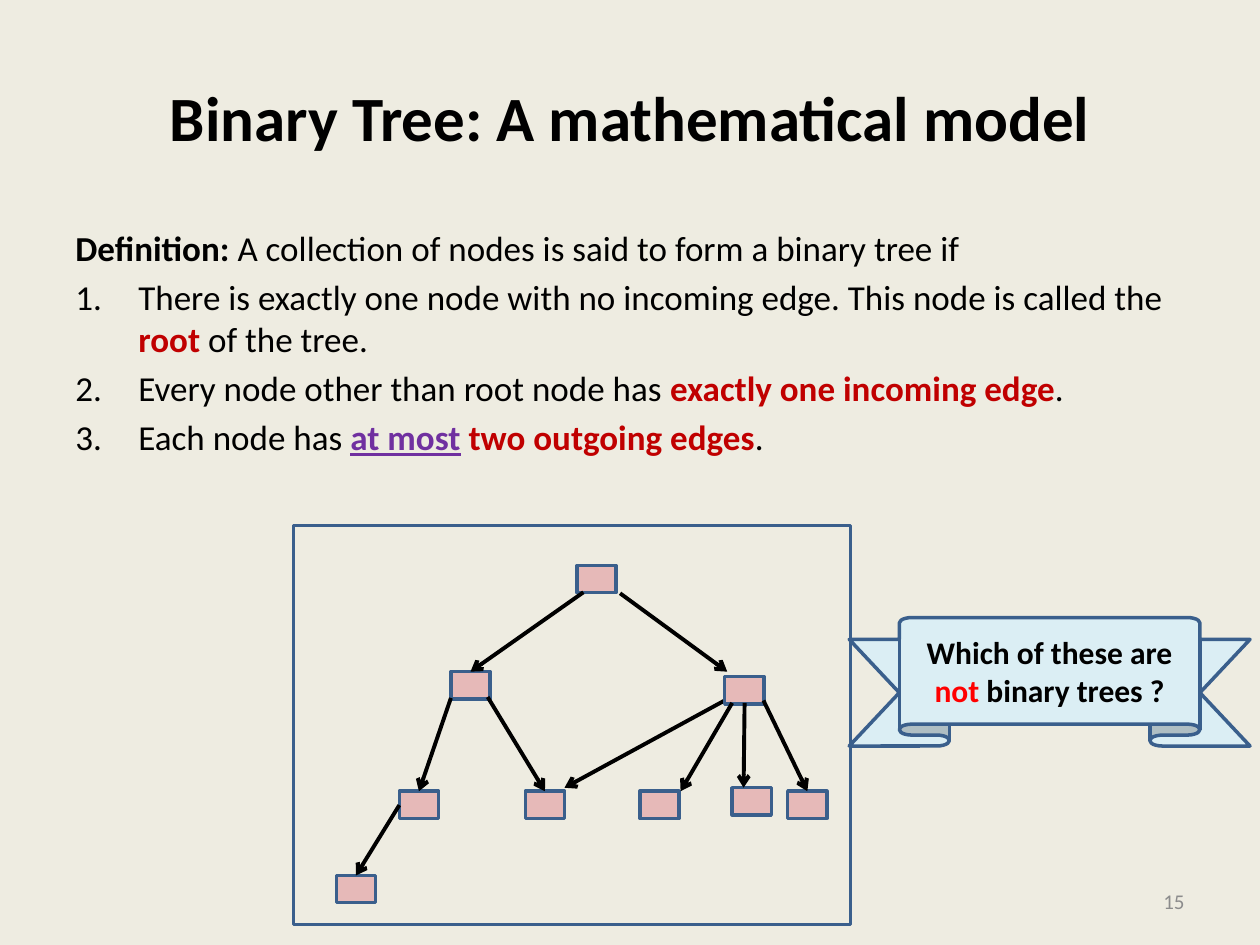
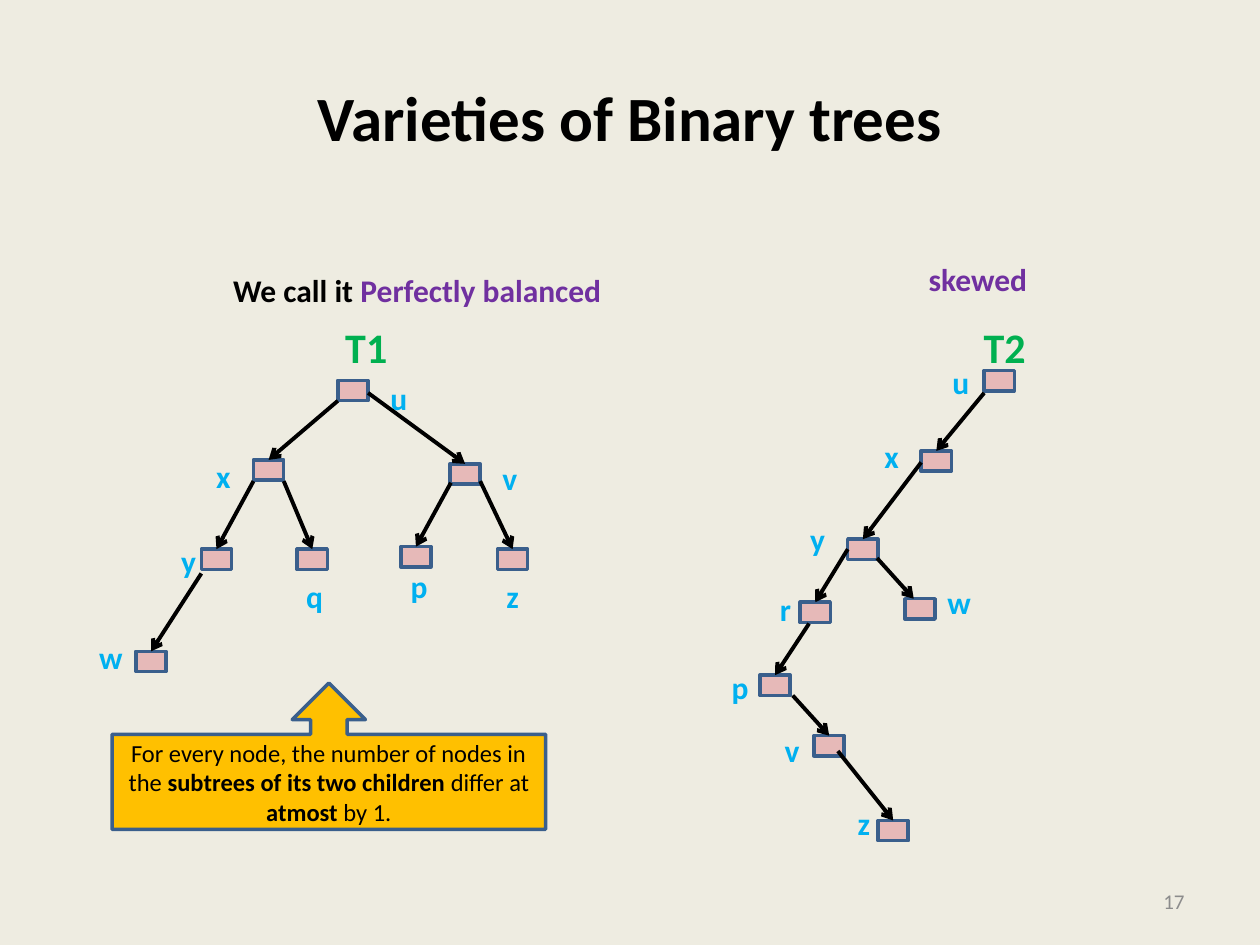
from dataclasses import dataclass

from lxml.etree import SubElement
from pptx import Presentation
from pptx.dml.color import RGBColor
from pptx.enum.shapes import MSO_CONNECTOR as Line, MSO_SHAPE as Preset
from pptx.enum.text import MSO_ANCHOR as Anchor, PP_ALIGN as Align
from pptx.oxml.ns import qn
from pptx.util import Cm, Pt


@dataclass(frozen=True)
class Theme:
    font: str = "Calibri"
    background: str = "EEECE1"
    ink: str = "000000"
    outline: str = "3A5F8C"
    node: str = "E6B9B8"
    ribbon: str = "DBEEF4"
    callout: str = "FFC000"
    key: str = "C00000"
    alert: str = "FF0000"
    accent: str = "7030A0"
    label: str = "00B0F0"
    heading: str = "00B050"
    muted: str = "8C8C8C"
    title_size: int = 36
    heading_size: int = 24
    body_size: int = 20
    label_size: int = 18
    note_size: int = 14
    number_size: int = 12
    outline_width: float = 2
    arrow_width: float = 2.25


THEME = Theme()
BOLD = {"bold": True}
KEY = {"bold": True, "color": THEME.key}
ACCENT = {"bold": True, "color": THEME.accent}

DEFINITION = [
    [("Definition: ", BOLD), ("A collection of nodes is said to form a binary tree if", {})],
    [("There is exactly one node with no incoming edge. This node is called the ", {}),
     ("root", KEY), (" of the tree.", {})],
    [("Every node other than root node has ", {}), ("exactly one incoming edge", KEY), (".", {})],
    [("Each node has ", {}), ("at most", {**ACCENT, "underline": True}), (" ", {}),
     ("two outgoing edges", KEY), (".", {})],
]
QUESTION = [("Which of these are ", BOLD), ("not", {"bold": True, "color": THEME.alert}),
            (" binary trees ?", BOLD)]
BALANCE_RULE = [("For every node, the number of nodes in the ", {}),
                ("subtrees of its two children ", BOLD), ("differ at ", {}),
                ("atmost", BOLD), (" by 1.", {})]

PUZZLE_NODES = [
    ((11.63, 11.4), None, None),
    ((9.09, 13.54), (11.76, 11.94), None),
    ((14.61, 13.64), (12.5, 11.96), (14.66, 13.54)),
    ((8.05, 15.95), (9.09, 14.07), None),
    ((10.59, 15.95), (9.83, 14.05), None),
    ((12.9, 15.95), (14.76, 14.17), (13.72, 15.95)),
    ((14.76, 15.88), (15.01, 14.17), (14.99, 15.88)),
    ((15.88, 15.95), (15.39, 14.12), None),
    ((6.78, 17.65), (8.05, 16.23), None),
]
SECOND_PARENT_EDGE = (14.61, 14.12), (11.38, 15.88)

BALANCED_TREE = [
    ("u", (7.62, 7.52), (6.81, 7.67), None, None),
    ("x", (4.11, 9.09), (5.11, 9.27), (6.81, 8.08), None),
    ("v", (9.88, 9.12), (9.07, 9.35), (7.42, 7.92), None),
    ("y", (3.4, 10.8), (4.06, 11.07), (5.11, 9.7), None),
    ("q", (5.92, 11.51), (5.99, 11.07), (5.72, 9.7), None),
    ("p", (8.03, 11.3), (8.08, 11.02), (9.09, 9.73), None),
    ("z", (9.96, 11.51), (10.03, 11.07), (9.68, 9.7), None),
    ("w", (1.75, 12.73), (2.74, 13.13), (4.06, 11.56), None),
]
SKEWED_TREE = [
    ("u", (18.95, 7.19), (19.84, 7.47), None, None),
    ("x", (17.58, 8.69), (18.57, 9.09), (19.84, 7.92), None),
    ("y", (16.08, 10.36), (17.09, 10.87), (18.57, 9.32), None),
    ("r", (15.47, 11.76), (16.13, 12.14), (17.09, 11.07), None),
    ("w", (18.85, 11.63), (18.24, 12.07), (17.68, 11.25), (18.42, 12.07)),
    ("p", (14.5, 13.34), (15.32, 13.61), (16.31, 12.57), None),
    ("v", (15.57, 14.61), (16.41, 14.83), (15.98, 14.02), None),
    ("z", (17.04, 16.08), (17.7, 16.54), (16.89, 15.14), None),
]


class Deck:
    def __init__(self, theme):
        self.theme = theme
        self.show = Presentation()
        self.show.slide_width, self.show.slide_height = Cm(25.4), Cm(19.05)
        self.slide = None

    def new_slide(self, title, number):
        self.slide = self.show.slides.add_slide(self.show.slide_layouts[6])
        backdrop = self.slide.background.fill
        backdrop.solid()
        backdrop.fore_color.rgb = RGBColor.from_string(self.theme.background)
        self.text((1.27, 0.76, 22.86, 3.18), [[(title, BOLD)]], self.theme.title_size,
                  align=Align.CENTER, anchor=Anchor.MIDDLE)
        self.text((18.21, 17.65, 5.92, 1.02), [[(number, {"color": self.theme.muted})]],
                  self.theme.number_size, align=Align.RIGHT, anchor=Anchor.MIDDLE)

    def set_text(self, frame, paragraphs, size, align=Align.LEFT, numbered=False, **layout):
        for name, value in {"word_wrap": True, **layout}.items():
            setattr(frame, name, value)
        for index, runs in enumerate(paragraphs):
            paragraph = frame.paragraphs[0] if index == 0 else frame.add_paragraph()
            paragraph.alignment = align
            if index:
                paragraph.space_before = Pt(size * 0.2)
                if numbered:
                    self.number(paragraph)
            for words, style in runs:
                run = paragraph.add_run()
                run.text = words
                look = {"name": self.theme.font, "size": Pt(size), "bold": False, **style}
                run.font.color.rgb = RGBColor.from_string(look.pop("color", self.theme.ink))
                for name, value in look.items():
                    setattr(run.font, name, value)

    def number(self, paragraph):
        properties = paragraph._p.get_or_add_pPr()
        properties.set("marL", str(Cm(1.27)))
        properties.set("indent", str(-Cm(1.27)))
        SubElement(properties, qn("a:buAutoNum"), type="arabicPeriod")

    def text(self, box, paragraphs, size, align=Align.LEFT, anchor=Anchor.TOP,
             numbered=False, **layout):
        frame = self.slide.shapes.add_textbox(*map(Cm, box)).text_frame
        self.set_text(frame, paragraphs, size, align, numbered,
                      vertical_anchor=anchor, **layout)

    def tag(self, box, runs, size):
        self.text(box, [runs], size, word_wrap=False, margin_right=0, margin_bottom=0)

    def shape(self, preset, box, fill=None, runs=None, size=None):
        shape = self.slide.shapes.add_shape(preset, *map(Cm, box))
        shape.shadow.inherit = False
        if fill:
            shape.fill.solid()
            shape.fill.fore_color.rgb = RGBColor.from_string(fill)
        else:
            shape.fill.background()
        shape.line.color.rgb = RGBColor.from_string(self.theme.outline)
        shape.line.width = Pt(self.theme.outline_width)
        if runs:
            self.set_text(shape.text_frame, [runs], size, Align.CENTER,
                          vertical_anchor=Anchor.MIDDLE)
        return shape

    def arrow(self, start, end):
        arrow = self.slide.shapes.add_connector(Line.STRAIGHT, *map(Cm, (*start, *end)))
        arrow.line.color.rgb = RGBColor.from_string(self.theme.ink)
        arrow.line.width = Pt(self.theme.arrow_width)
        properties = arrow._element.spPr
        SubElement(properties.find(qn("a:ln")), qn("a:tailEnd"), type="arrow")
        SubElement(properties, qn("a:effectLst"))

    def node(self, corner, start, end, size):
        self.shape(Preset.RECTANGLE, (*corner, *size), self.theme.node)
        if start:
            self.arrow(start, end or (corner[0] + size[0] / 2, corner[1]))

    def labelled_tree(self, name, left, nodes):
        for letter, label_corner, corner, start, end in nodes:
            self.node(corner, start, end, (0.61, 0.41))
            label_size = (0.99, 1.02) if letter == "w" else (0.66, 0.76)
            self.tag((*label_corner, *label_size),
                     [(letter, {"bold": True, "color": self.theme.label})],
                     self.theme.label_size)
        self.tag((left, 6.35, 1.37, 1.27),
                 [(name, {"bold": True, "color": self.theme.heading})],
                 self.theme.heading_size)


def model_slide(deck):
    deck.new_slide("Binary Tree: A mathematical model", "15")
    deck.text((1.27, 4.45, 22.86, 12.57), DEFINITION, THEME.body_size, numbered=True)
    deck.arrow(*SECOND_PARENT_EDGE)
    for corner, start, end in PUZZLE_NODES:
        deck.node(corner, start, end, (0.79, 0.55))
    ribbon = deck.shape(Preset.UP_RIBBON, (17.12, 12.45, 8.08, 2.59), THEME.ribbon,
                        QUESTION, THEME.label_size)
    ribbon.adjustments[0], ribbon.adjustments[1] = 0.17, 0.75
    deck.shape(Preset.RECTANGLE, (5.92, 10.59, 11.23, 8.05))


def varieties_slide(deck):
    deck.new_slide("Varieties of Binary trees", "17")
    deck.tag((4.45, 5.33, 8, 1.02),
             [("We call it ", BOLD), ("Perfectly balanced", ACCENT)], THEME.label_size)
    deck.tag((18.47, 5.11, 2.51, 1.02), [("skewed", ACCENT)], THEME.label_size)
    deck.labelled_tree("T1", 6.71, BALANCED_TREE)
    deck.labelled_tree("T2", 19.58, SKEWED_TREE)
    deck.shape(Preset.UP_ARROW_CALLOUT, (2.26, 13.77, 8.74, 2.95), THEME.callout,
               BALANCE_RULE, THEME.note_size)


def main():
    deck = Deck(THEME)
    model_slide(deck)
    varieties_slide(deck)
    deck.show.save("out.pptx")


if __name__ == "__main__":
    main()
